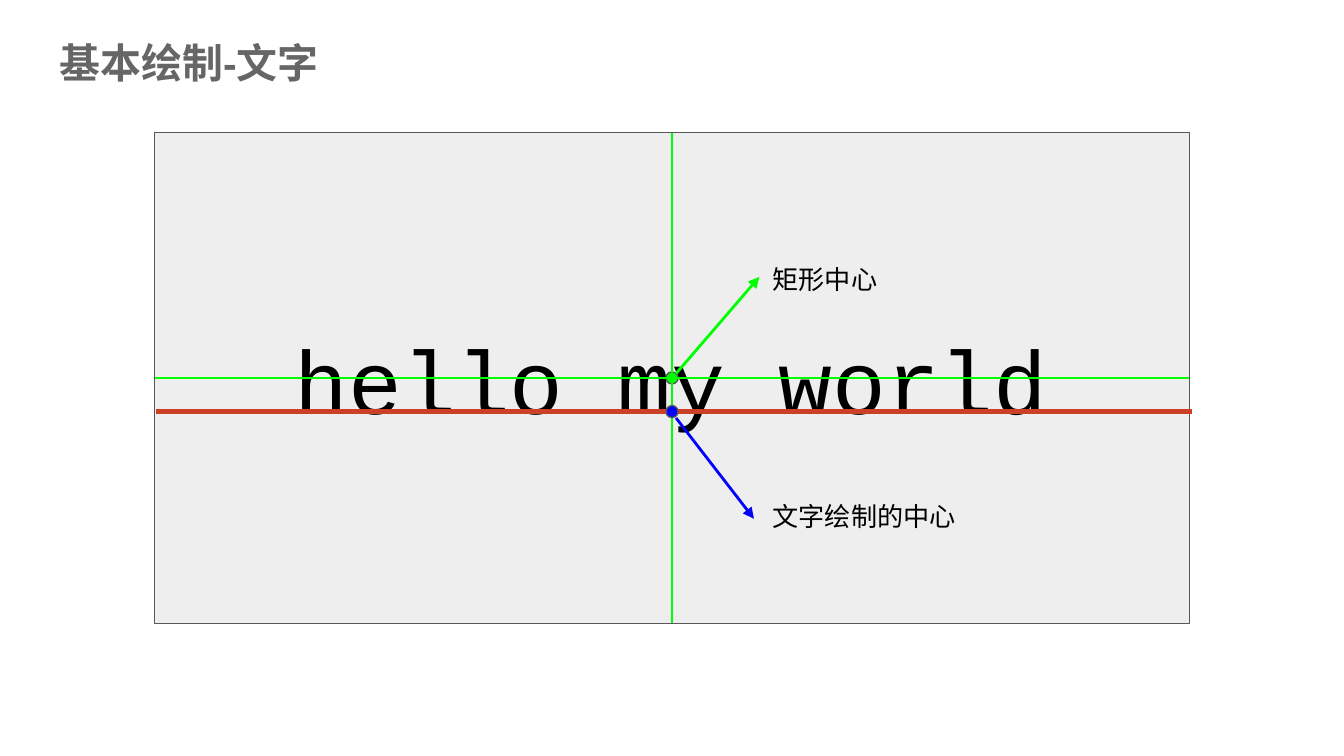
from lxml import etree
from pptx import Presentation
from pptx.dml.color import RGBColor
from pptx.enum.shapes import MSO_CONNECTOR, MSO_SHAPE
from pptx.enum.text import MSO_ANCHOR, MSO_AUTO_SIZE, PP_ALIGN
from pptx.oxml.ns import qn
from pptx.util import Inches, Pt

STRAIGHT = MSO_CONNECTOR.STRAIGHT
RECTANGLE, OVAL = MSO_SHAPE.RECTANGLE, MSO_SHAPE.OVAL
TOP, MIDDLE = MSO_ANCHOR.TOP, MSO_ANCHOR.MIDDLE
LEFT, CENTER = PP_ALIGN.LEFT, PP_ALIGN.CENTER
NO_FIT = MSO_AUTO_SIZE.NONE

COLORS = {"title": "666666", "text": "000000", "canvas": "EEEEEE", "edge": "585858",
          "baseline": "CC4125", "rect_center": "00FF00", "text_center": "0000FF"}

# Content
TITLE = "基本绘制-文字"
SAMPLE = "hello my world"
RECT_LABEL = "矩形中心"
TEXT_LABEL = "文字绘制的中心"

# Layout in inches, on a 16:9 slide
SLIDE_W = 10
SLIDE_H = SLIDE_W * 9 / 16
CANVAS_W, CANVAS_H = 7.7, 3.65
CANVAS_LEFT = (SLIDE_W - CANVAS_W) / 2
CANVAS_RIGHT = CANVAS_LEFT + CANVAS_W
CANVAS_TOP = (SLIDE_H - CANVAS_H) / 2
CANVAS_BOTTOM = CANVAS_TOP + CANVAS_H
CENTER_X = SLIDE_W / 2
CENTER_Y = SLIDE_H / 2
BASELINE_Y = CENTER_Y + 0.25
DOT = 0.09
LABEL_X, LABEL_W, LABEL_H = 5.65, 1.76, 0.48

deck = Presentation()
deck.slide_width, deck.slide_height = Inches(SLIDE_W), Inches(SLIDE_H)
page = deck.slides.add_slide(deck.slide_layouts[5])


def color(name):
    return RGBColor.from_string(COLORS[name])


def add_figure(kind, left, top, width, height, fill):
    figure = page.shapes.add_shape(kind, *map(Inches, (left, top, width, height)))
    figure.shadow.inherit = False
    figure.fill.solid()
    figure.fill.fore_color.rgb = color(fill)
    figure.line.color.rgb = color("edge")
    figure.line.width = Pt(0.75)


def add_dot(y, fill):
    add_figure(OVAL, CENTER_X - DOT / 2, y - DOT / 2, DOT, DOT, fill)


def add_line(start, end, name, width=1.5, arrow=False):
    line = page.shapes.add_connector(STRAIGHT, *map(Inches, start + end))
    line.line.color.rgb = color(name)
    line.line.width = Pt(width)
    if arrow:
        outline = line._element.spPr.find(qn("a:ln"))
        etree.SubElement(outline, qn("a:tailEnd"), type="triangle")
    etree.SubElement(line._element.spPr, qn("a:effectLst"))


def write(box, text, size, font="Arial", ink="text", anchor=TOP, align=LEFT, bold=False):
    frame = box.text_frame
    frame.word_wrap = True
    frame.auto_size = NO_FIT
    frame.vertical_anchor = anchor
    frame.margin_left = frame.margin_right = Inches(0.1)
    frame.margin_top = frame.margin_bottom = Inches(0.1)
    para = frame.paragraphs[0]
    para.text = text
    para.alignment = align
    para.font.name, para.font.size, para.font.bold = font, Pt(size), bold
    para.font.color.rgb = color(ink)


def add_text(left, top, width, height, text, size, **style):
    box = page.shapes.add_textbox(*map(Inches, (left, top, width, height)))
    write(box, text, size, **style)


# Title
title = page.shapes.title
title.left, title.top, title.width, title.height = map(Inches, (0.34, 0.18, 9.32, 0.63))
write(title, TITLE, 21.9, ink="title", bold=True)

# Canvas with the sample text and its baseline
add_figure(RECTANGLE, CANVAS_LEFT, CANVAS_TOP, CANVAS_W, CANVAS_H, "canvas")
add_text(1.94, 2.34, 6.11, 0.95, SAMPLE, 48, font="Courier New", anchor=MIDDLE, align=CENTER)
add_line((CANVAS_LEFT + 0.01, BASELINE_Y), (CANVAS_RIGHT + 0.02, BASELINE_Y), "baseline", 3)

# Center of the rectangle, then center of the drawn text
add_dot(CENTER_Y, "rect_center")
add_line((5.03, 2.78), (LABEL_X, 2.06), "rect_center", arrow=True)
add_text(LABEL_X, 1.86, LABEL_W, LABEL_H, RECT_LABEL, 14)
add_line((5.03, 3.11), (5.61, 3.86), "text_center", arrow=True)
add_text(LABEL_X, 3.62, LABEL_W, LABEL_H, TEXT_LABEL, 14)

# Axes through the rectangle's center
add_line((CANVAS_LEFT, CENTER_Y), (CANVAS_RIGHT, CENTER_Y), "rect_center")
add_line((CENTER_X, CANVAS_BOTTOM), (CENTER_X, CANVAS_TOP), "rect_center")
add_dot(BASELINE_Y, "text_center")

deck.save("out.pptx")
